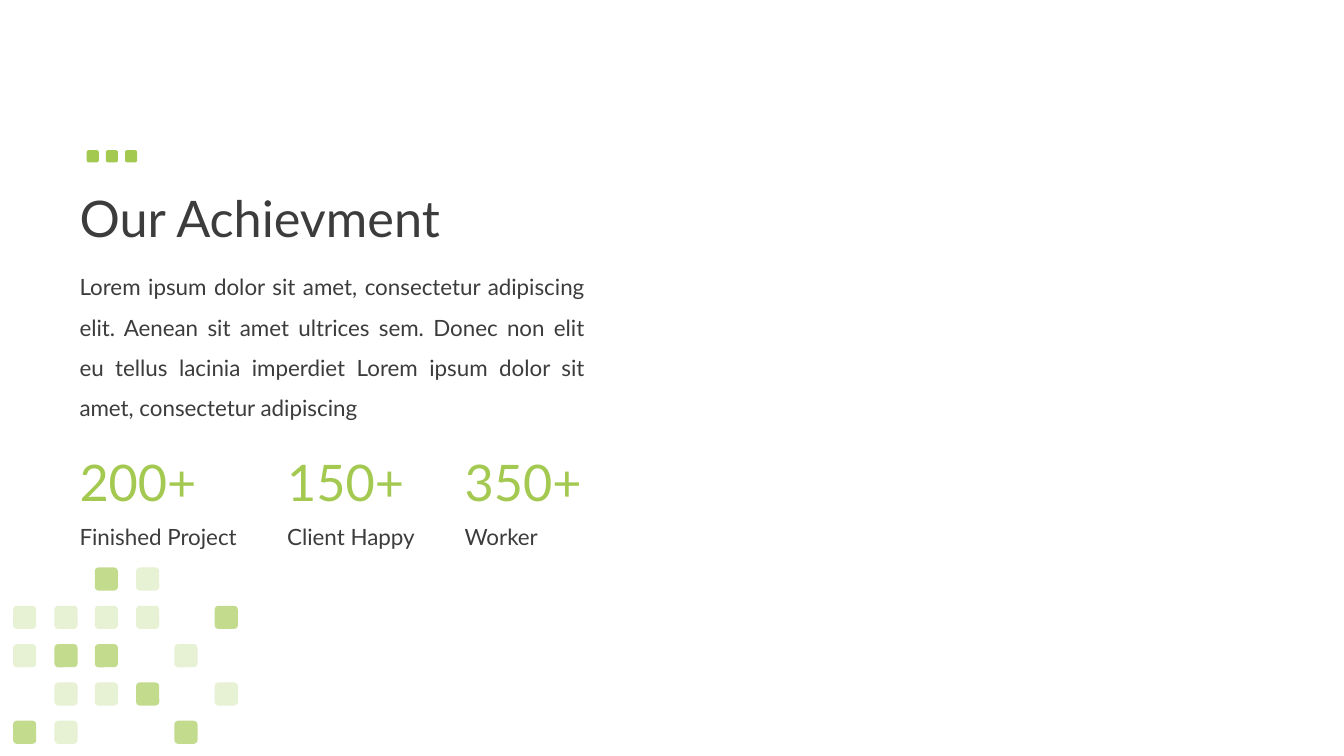
from lxml import etree
from pptx import Presentation
from pptx.dml.color import RGBColor
from pptx.enum.shapes import MSO_SHAPE as Shape
from pptx.enum.text import MSO_ANCHOR as Anchor, MSO_AUTO_SIZE as AutoSize, PP_ALIGN as Align
from pptx.oxml.ns import qn
from pptx.util import Emu, Pt

PX = 9144
FONT = "Lato"
COLORS = {"ink": "3C3C3C", "green": "A3C951"}

LEFT = 69
STATS = [
    (LEFT, "200+", "Finished Project"),
    (275, "150+", "Client Happy"),
    (451, "350+", "Worker"),
]
BODY = (
    "Lorem ipsum dolor sit amet, consectetur adipiscing elit. "
    "Aenean sit amet ultrices sem. Donec non elit eu tellus lacinia "
    "imperdiet Lorem ipsum dolor sit amet, consectetur adipiscing"
)
MOSAIC = ["..DL..", "LLLL.D", "LDD.L.", ".LLD.L", "DL..D."]
MOSAIC_COLUMNS = [13, 54, 94, 135, 173, 213]
MOSAIC_TOP, MOSAIC_PITCH, TILE = 563, 38, 23
OPACITY = {"D": 65, "L": 25}
DOT_LEFT, DOT_TOP, DOT_PITCH, DOT = 86, 149, 19, 12


def px(*lengths):
    return [Emu(length * PX) for length in lengths]


class Page:
    def __init__(self, deck):
        self.slide = deck.slides.add_slide(deck.slide_layouts[5])

    def fill_frame(self, frame, words, size, color="ink", align=Align.LEFT, spacing=None):
        frame.word_wrap = True
        paragraph = frame.paragraphs[0]
        paragraph.alignment = align
        if spacing:
            paragraph.line_spacing = spacing
        run = paragraph.add_run()
        run.text = words
        run.font.name = FONT
        run.font.size = Pt(size)
        run.font.color.rgb = RGBColor.from_string(COLORS[color])

    def title(self, words, left, top, width, height):
        heading = self.slide.shapes.title
        heading.left, heading.top, heading.width, heading.height = px(left, top, width, height)
        frame = heading.text_frame
        frame.auto_size = AutoSize.NONE
        frame.vertical_anchor = Anchor.MIDDLE
        self.fill_frame(frame, words, 36, spacing=0.9)

    def text(self, words, left, top, width, height, size, **style):
        box = self.slide.shapes.add_textbox(*px(left, top, width, height))
        box.text_frame.auto_size = AutoSize.SHAPE_TO_FIT_TEXT
        self.fill_frame(box.text_frame, words, size, **style)

    def group(self):
        return self.slide.shapes.add_group_shape()

    def square(self, group, left, top, side, opacity=100):
        tile = group.shapes.add_shape(Shape.ROUNDED_RECTANGLE, *px(left, top, side, side))
        tile.shadow.inherit = False
        tile.line.fill.background()
        tile.fill.solid()
        tile.fill.fore_color.rgb = RGBColor.from_string(COLORS["green"])
        if opacity < 100:
            color = tile.element.spPr.find(qn("a:solidFill"))[0]
            etree.SubElement(color, qn("a:alpha"), val=str(opacity * 1000))


def main():
    deck = Presentation()
    deck.slide_width, deck.slide_height = px(1333, 750)
    page = Page(deck)

    page.title("Our Achievment", LEFT, 147, 1150, 145)
    for left, count, label in STATS:
        page.text(count, left, 443, 159, 71, 36, color="green")
        page.text(label, left, 514, 235, 37, 16)
    page.text(BODY, LEFT, 253, 521, 166, 16, align=Align.JUSTIFY, spacing=1.5)

    mosaic = page.group()
    for row, cells in enumerate(MOSAIC):
        for left, cell in zip(MOSAIC_COLUMNS, cells):
            if cell in OPACITY:
                top = MOSAIC_TOP + row * MOSAIC_PITCH
                page.square(mosaic, left, top, TILE, OPACITY[cell])

    dots = page.group()
    for step in range(3):
        page.square(dots, DOT_LEFT + step * DOT_PITCH, DOT_TOP, DOT)

    deck.save("out.pptx")


if __name__ == "__main__":
    main()
